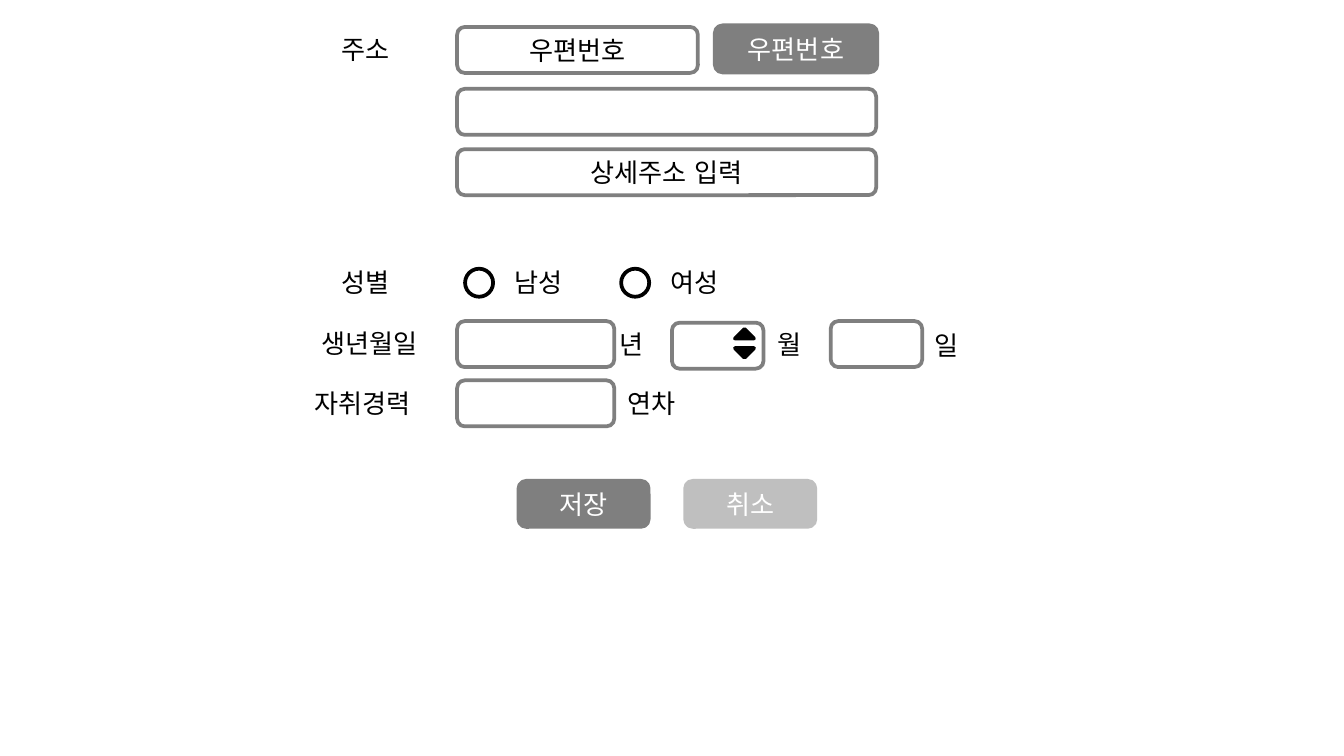
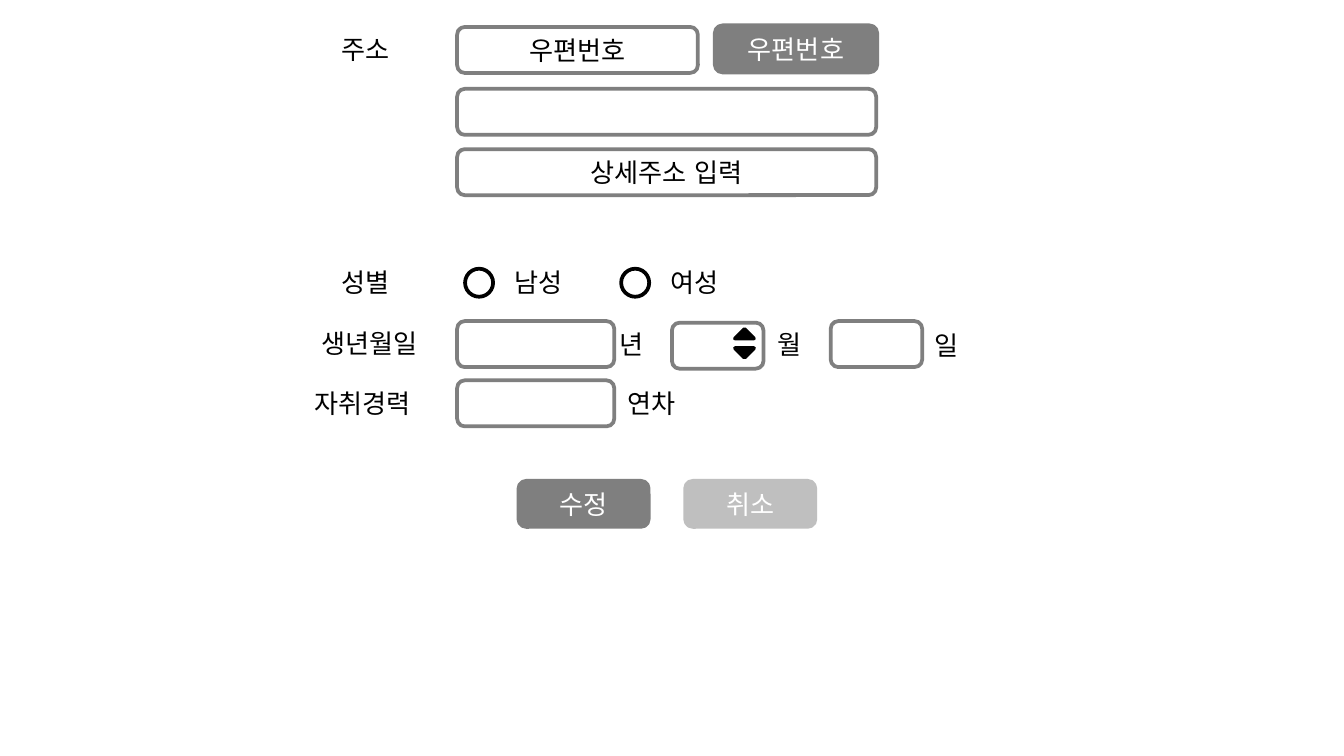
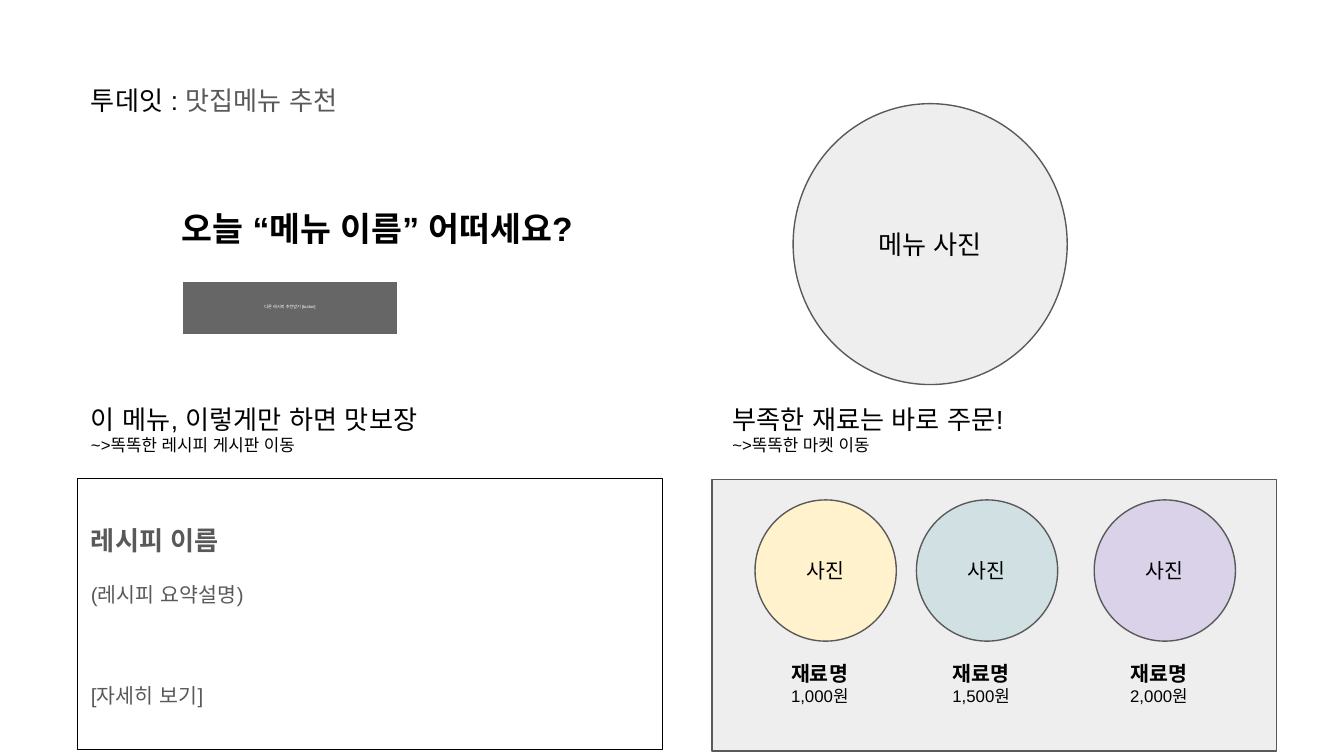
from lxml import etree
from pptx import Presentation
from pptx.dml.color import RGBColor
from pptx.enum import shapes, text
from pptx.oxml import ns
from pptx.util import Cm, Pt

FONT = "Arial"
COLORS = {
    "white": "FFFFFF", "black": "000000", "gray": "7F7F7F", "silver": "BFBFBF",
    "dark": "595959", "button": "666666", "pale": "EEEEEE",
    "yellow": "FFF2CC", "teal": "D0E0E3", "purple": "D9D2E9",
}
RECT = shapes.MSO_SHAPE.RECTANGLE
ROUND = shapes.MSO_SHAPE.ROUNDED_RECTANGLE
OVAL = shapes.MSO_SHAPE.OVAL
TRIANGLE = shapes.MSO_SHAPE.ISOSCELES_TRIANGLE
CENTER = text.PP_ALIGN.CENTER

# Address form (cm)
FORM_BUTTONS = [("저장", "취소"), ("수정", "취소")]
FIELD_X, FIELD_H = 8.64, 0.87
LABELS = [  # text, left, top, width
    ("주소", 6.2, 0.51, 2.44), ("성별", 6.2, 4.9, 2.44),
    ("생년월일", 5.82, 6.05, 2.82), ("자취경력", 5.69, 7.19, 2.97),
    ("년", 11.46, 6.07, 0.94), ("월", 14.45, 6.07, 0.94),
    ("일", 17.42, 6.1, 0.94), ("연차", 11.61, 7.19, 1.73),
]
FIELDS = [  # text, left, top, width
    ("우편번호", FIELD_X, 0.51, 4.55), ("", FIELD_X, 1.68, 7.92),
    ("상세주소 입력", FIELD_X, 2.82, 7.92), ("", FIELD_X, 6.07, 2.97),
    ("", 12.7, 6.1, 1.73), ("", 15.7, 6.07, 1.73), ("", FIELD_X, 7.19, 2.97),
]
GENDERS = ["남성", "여성"]
RADIO_X, RADIO_Y, RADIO_SIZE, RADIO_STEP = 8.79, 5.08, 0.53, 2.95
SPINNER = [(6.22, 0), (6.58, 180)]  # top, rotation

# Menu recommendation (cm)
HEADINGS = [
    (1.47, "이 메뉴, 이렇게만 하면 맛보장", "~>똑똑한 레시피 게시판 이동"),
    (13.59, "부족한 재료는 바로 주문!", "~>똑똑한 마켓 이동"),
]
INGREDIENTS = [  # left, fill, price
    (14.27, "yellow", "1,000원"), (17.32, "teal", "1,500원"),
    (20.68, "purple", "2,000원"),
]
RECIPE = [  # text, size, bold, paragraph format
    ("레시피 이름", 14, True, {}),
    ("(레시피 요약설명)", 11, False, {"space_before": Pt(12)}),
    ("[자세히 보기]", 11, False, {"space_before": Pt(39), "space_after": Pt(12)}),
]


def rgb(name):
    return RGBColor.from_string(COLORS[name])


def run(words, size=14, color="black", bold=False):
    return words, size, color, bold


def para(*runs, **fmt):
    return runs, fmt


def write(sp, paras, inset, middle, grow):
    """Fill a shape with paragraphs; a run of None is a line break."""
    tf = sp.text_frame
    frame = {
        "word_wrap": True, "margin_left": Cm(0.25), "margin_right": Cm(0.25),
        "margin_top": Cm(inset), "margin_bottom": Cm(inset),
        "vertical_anchor": text.MSO_ANCHOR.MIDDLE if middle else text.MSO_ANCHOR.TOP,
        "auto_size": text.MSO_AUTO_SIZE.SHAPE_TO_FIT_TEXT if grow
        else text.MSO_AUTO_SIZE.NONE,
    }
    for name, value in frame.items():
        setattr(tf, name, value)
    for i, (runs, fmt) in enumerate(paras):
        p = tf.add_paragraph() if i else tf.paragraphs[0]
        for name, value in {"alignment": text.PP_ALIGN.LEFT, **fmt}.items():
            setattr(p, name, value)
        for item in runs:
            if item is None:
                p.add_line_break()
                continue
            words, size, color, bold = item
            r = p.add_run()
            r.text = words
            for name, value in {"name": FONT, "size": Pt(size), "bold": bold}.items():
                setattr(r.font, name, value)
            r.font.color.rgb = rgb(color)
            east_asian = etree.SubElement(r.font._element, ns.qn("a:ea"))
            east_asian.set("typeface", FONT)


def add_text(s, box, paras, inset=0.25, middle=False, grow=False):
    sp = s.shapes.add_textbox(*map(Cm, box))
    write(sp, paras, inset, middle, grow)


def add_shape(s, kind, box, fill, line, weight=0.75, paras=(), inset=0.25, grow=False):
    sp = s.shapes.add_shape(kind, *map(Cm, box))
    sp.shadow.inherit = False
    if fill:
        sp.fill.solid()
        sp.fill.fore_color.rgb = rgb(fill)
    else:
        sp.fill.background()
    sp.line.color.rgb = rgb(line)
    sp.line.width = Pt(weight)
    if paras:
        write(sp, paras, inset, True, grow)
    return sp


def add_label(s, words, x, y, w):
    add_text(s, (x, y, w, FIELD_H), [para(run(words))], 0.13, grow=True)


def add_field(s, words, box, fill="white", line="gray", color="black"):
    paras = [para(run(words, color=color), alignment=CENTER)] if words else ()
    add_shape(s, ROUND, box, fill, line, 2, paras, 0.13)


def build_form(s, buttons):
    for label in LABELS:
        add_label(s, *label)
    for words, x, y, w in FIELDS:
        add_field(s, words, (x, y, w, FIELD_H))
    add_field(s, "우편번호", (13.51, 0.48, 3.07, 0.89), "gray", "gray", "white")
    for i, gender in enumerate(GENDERS):
        x = RADIO_X + i * RADIO_STEP
        add_shape(s, OVAL, (x, RADIO_Y, RADIO_SIZE, RADIO_SIZE), None, "black", 2)
        add_label(s, gender, x + 0.68, 4.9, 2.44)
    for y, rotation in SPINNER:
        sp = add_shape(s, TRIANGLE, (13.89, y, 0.36, 0.18), "black", "black", 2)
        sp.rotation = rotation
    for i, (words, fill) in enumerate(zip(buttons, ("gray", "silver"))):
        add_field(s, words, (9.8 + i * 3.15, 9.09, 2.46, FIELD_H), fill, fill, "white")


def build_menu(s):
    recipe = [para(run(words, size, "dark", bold), line_spacing=1.15, **fmt)
              for words, size, bold, fmt in RECIPE]
    add_shape(s, RECT, (1.47, 9.04, 11.05, 5.13), "white", "black", paras=recipe)
    add_text(s, (1.47, 1.35, 7.47, 1.19),
             [para(run("투데잇 : "), run("맛집메뉴 추천", color="dark"))])
    add_shape(s, OVAL, (14.99, 1.96, 5.18, 5.31), "pale", "dark",
              paras=[para(run("메뉴 사진"), alignment=CENTER)])
    add_text(s, (3.18, 3.35, 9.37, 1.93),
             [para(run("오늘 “메뉴 이름” 어떠세요?", 18, bold=True))], middle=True)
    add_shape(s, RECT, (3.45, 5.31, 4.06, 1.02), "button", "white",
              paras=[para(run("다른 레시피 추천받기 [button]", 2.2, "white"),
                          alignment=CENTER, line_spacing=0.75, space_after=Pt(12))])
    add_shape(s, RECT, (13.46, 9.07, 10.67, 5.13), "pale", "dark")
    for x, fill, price in INGREDIENTS:
        add_shape(s, OVAL, (x, 9.45, 2.67, 2.67), fill, "dark",
                  paras=[para(run("사진", 11), alignment=CENTER)])
        add_text(s, (x + 0.43, 12.24, 1.78, 1.37),
                 [para(run("재료명", 11, bold=True)), para(run(price, 9))], grow=True)
    for x, title, note in HEADINGS:
        add_shape(s, RECT, (x, 7.37, 7.98, 1.5), "white", "white",
                  paras=[para(run(title), None, run(note, 9))], grow=True)


def main():
    prs = Presentation()
    prs.slide_width, prs.slide_height = Cm(25.4), Cm(14.29)
    blank = prs.slide_layouts[6]
    for buttons in FORM_BUTTONS:
        build_form(prs.slides.add_slide(blank), buttons)
    build_menu(prs.slides.add_slide(blank))
    prs.save("out.pptx")


if __name__ == "__main__":
    main()
